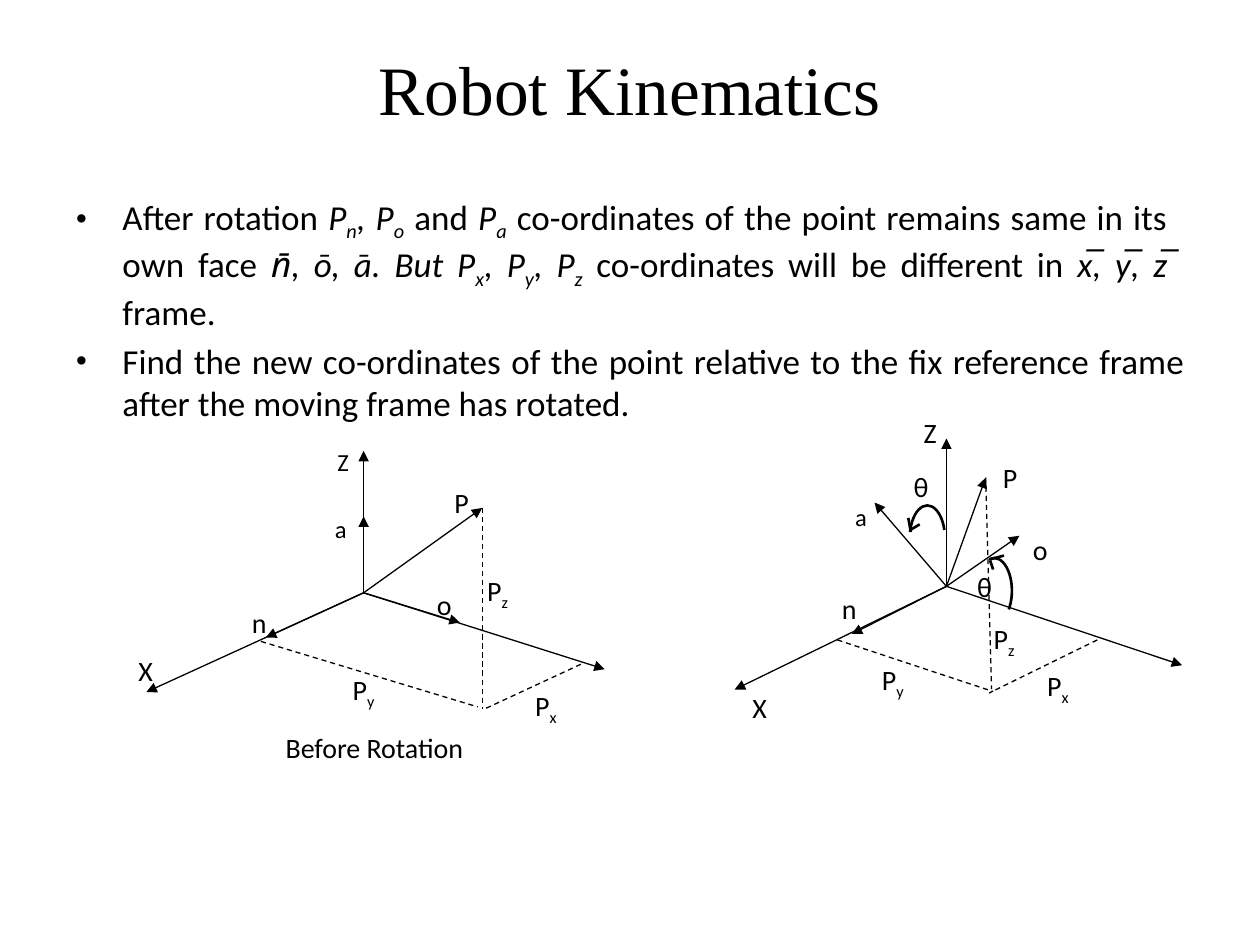
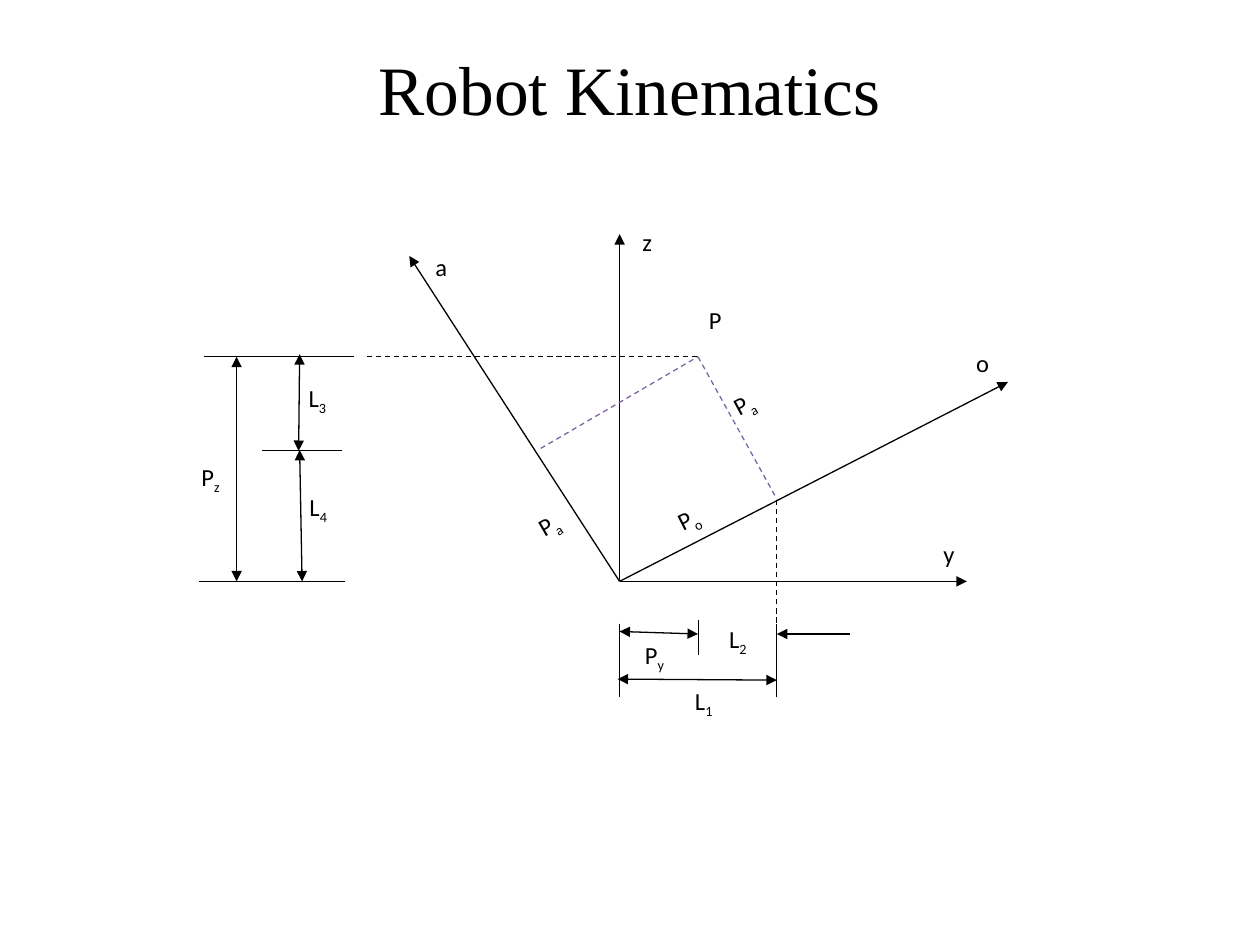
"""Builds two slides on robot kinematics: a rotated frame and its side view."""
from dataclasses import dataclass

from lxml import etree
from pptx import Presentation
from pptx.dml.color import RGBColor
from pptx.enum.dml import MSO_LINE
from pptx.enum.shapes import MSO_CONNECTOR, MSO_SHAPE
from pptx.enum.text import MSO_ANCHOR, PP_ALIGN
from pptx.oxml.ns import qn
from pptx.util import Cm, Pt

STRAIGHT = MSO_CONNECTOR.STRAIGHT
ARC = MSO_SHAPE.ARC
DASH = MSO_LINE.DASH
TOP, MIDDLE = MSO_ANCHOR.TOP, MSO_ANCHOR.MIDDLE
LEFT, CENTER, JUSTIFY = PP_ALIGN.LEFT, PP_ALIGN.CENTER, PP_ALIGN.JUSTIFY

COLORS = {"ink": "000000", "projection": "8064A2", "page": "FFFFFF"}
TITLE_FONT, BODY_FONT = "Times New Roman", "Calibri"
TITLE = "Robot Kinematics"

Point = tuple[float, float]


@dataclass(frozen=True)
class Bullet:
    text: str
    right_indent: float = 0


@dataclass(frozen=True)
class Line:
    start: Point
    end: Point
    heads: str = ""
    dashed: bool = False
    color: str = "ink"
    weight: float = 0.75


@dataclass(frozen=True)
class Label:
    text: str
    left: float
    top: float
    size: float = 16
    width: float = 1.63
    rotation: float = 0


@dataclass(frozen=True)
class Arc:
    left: float
    top: float
    start: float
    end: float


def axes(origin: Point, *tips: Point) -> list[Line]:
    """Return arrows from one origin to each tip."""
    return [Line(origin, tip, "tail") for tip in tips]


def dashes(*ends: tuple[Point, Point], color: str = "ink") -> list[Line]:
    """Return dashed lines between pairs of points."""
    return [Line(start, end, dashed=True, color=color) for start, end in ends]


def side_label(text: str, left: float, top: float, rotation: float = 0) -> Label:
    """Return a label in the style of the side view."""
    return Label(text, left, top, 14, 1.91, rotation)


BULLETS = (
    Bullet("After rotation *P_n, P_o* and *P_a* co-ordinates of the point remains same in its "
           "own face *n̄, ō, ā. But P_x, P_y, P_z* co-ordinates will be different in "
           "*x̅, y̅, z̅* frame.", right_indent=0.35),
    Bullet("Find the new co-ordinates of the point relative to the fix reference frame "
           "after the moving frame has rotated."),
)

BEFORE_ROTATION = [
    *axes((7.33, 11.95), (12.19, 13.49), (7.33, 9.09), (2.95, 13.95), (5.36, 12.85),
          (9.27, 12.55), (7.33, 10.41), (9.72, 10.24)),
    *dashes(((9.72, 10.24), (9.72, 14.3)), ((11.71, 13.39), (9.75, 14.3)),
            ((5.26, 12.93), (9.63, 14.25))),
    Label("P", 8.91, 9.67),
    Label("X", 2.54, 13.06),
    Label("Z", 6.55, 8.89, 14),
    Label("n", 4.83, 12.09),
    Label("a", 6.5, 10.24, 14),
    Label("o", 8.56, 11.72),
    Label("P_y", 6.86, 13.44),
    Label("P_z", 9.57, 11.43),
    Label("P_x", 10.54, 13.76),
    Label("Before Rotation", 5.51, 14.61, width=4.67),
]

AFTER_ROTATION = [
    *axes((19.08, 11.82), (23.83, 13.41), (19.08, 8.84), (14.81, 13.9), (17.17, 12.78),
          (17.63, 10.13), (19.87, 9.63), (20.55, 10.8)),
    Arc(19.69, 11.25, 157.36, 31.28),
    Arc(18.34, 10.19, 119.69, 200.62),
    Line((18.31, 10.44), (18.36, 10.72), weight=1.5),
    Line((18.36, 10.72), (18.37, 10.72)),
    Line((18.54, 10.57), (18.34, 10.69), weight=1.5),
    Line((20.24, 11.2), (19.94, 11.28), weight=1.5),
    Line((19.96, 11.3), (20.02, 11.48), weight=1.5),
    *dashes(((19.87, 9.63), (19.99, 13.89)), ((16.88, 12.9), (20.02, 13.94)),
            ((22.12, 12.9), (19.94, 13.97))),
    Label("X", 14.92, 13.79),
    Label("Z", 18.37, 8.26),
    Label("P", 19.97, 9.15),
    Label("a", 16.99, 10, 14),
    Label("n", 16.72, 11.81),
    Label("o", 20.57, 10.62),
    Label("θ", 18.17, 9.35),
    Label("θ", 19.45, 11.35),
    Label("P_x", 20.86, 13.36),
    Label("P_y", 17.53, 13.24),
    Label("P_z", 19.78, 12.41),
]

SIDE_VIEW = [
    *axes((12.49, 11.72), (19.49, 11.72), (12.49, 4.72), (20.32, 7.7), (8.25, 5.16)),
    *dashes(((10.9, 9.04), (14.07, 7.19)), ((14.07, 7.19), (15.66, 10.06)),
            color="projection"),
    *dashes(((14.05, 7.19), (7.34, 7.19)), ((15.66, 10.08), (15.66, 12.78))),
    Line((7.14, 7.19), (4.12, 7.19)),
    Line((6.96, 11.72), (4.01, 11.72)),
    Line((6.89, 9.08), (5.28, 9.08)),
    Line((12.49, 12.57), (12.49, 14.05)),
    Line((14.08, 12.5), (14.08, 13.21)),
    Line((15.66, 12.57), (15.66, 14.05)),
    Line((4.77, 7.19), (4.77, 11.72), "head tail"),
    Line((6.04, 7.14), (6.02, 9.09), "head tail"),
    Line((6.04, 9.07), (6.09, 11.72), "head tail"),
    Line((12.49, 12.73), (14.07, 12.78), "head tail"),
    Line((12.45, 13.69), (15.66, 13.71), "head tail"),
    Line((17.14, 12.78), (15.66, 12.78), "tail"),
    side_label("P", 14.04, 6.02),
    side_label("P_a", 14.48, 7.47, -28.4),
    side_label("P_a", 10.54, 9.88, -30.1),
    side_label("P_o", 13.36, 9.8, -26.9),
    side_label("P_y", 12.75, 12.78),
    side_label("P_z", 3.81, 9.18),
    side_label("L_3", 5.97, 7.59),
    side_label("L_1", 13.76, 13.7),
    side_label("L_4", 5.99, 9.8),
    side_label("L_2", 14.45, 12.45),
    side_label("a", 8.53, 4.95),
    side_label("y", 18.77, 10.74),
    side_label("z", 12.7, 4.45),
    side_label("o", 19.43, 6.89),
]


def rgb(name: str) -> RGBColor:
    """Return the named colour."""
    return RGBColor.from_string(COLORS[name])


def add_span(para, text: str, *, size: float, font: str, italic: bool, lowered: bool) -> None:
    """Add one formatted span, if it has any text."""
    if not text:
        return
    span = para.add_run()
    span.text = text
    span.font.size, span.font.name, span.font.italic = Pt(size), font, italic
    span.font.color.rgb = rgb("ink")
    if lowered:
        span._r.get_or_add_rPr().set("baseline", "-25000")


def write(para, text: str, *, size: float, font: str = BODY_FONT, align=LEFT) -> None:
    """Write text in which *stars* mean italic and _ lowers the next character."""
    para.alignment = align
    for index, phrase in enumerate(text.split("*")):
        style = {"size": size, "font": font, "italic": index % 2 == 1}
        plain, *lowered_parts = phrase.split("_")
        add_span(para, plain, lowered=False, **style)
        for part in lowered_parts:
            add_span(para, part[0], lowered=True, **style)
            add_span(para, part[1:], lowered=False, **style)


def add_box(page, left: float, top: float, width: float, height: float, anchor=TOP):
    """Add a wrapping text box."""
    box = page.shapes.add_textbox(Cm(left), Cm(top), Cm(width), Cm(height))
    box.text_frame.word_wrap = True
    box.text_frame.vertical_anchor = anchor
    return box


def draw_line(page, line: Line) -> None:
    """Draw a line with its arrowheads."""
    shape = page.shapes.add_connector(STRAIGHT, *map(Cm, line.start + line.end))
    shape.line.color.rgb = rgb(line.color)
    shape.line.width = Pt(line.weight)
    if line.dashed:
        shape.line.dash_style = DASH
    outline = shape.line._get_or_add_ln()
    for head in line.heads.split():
        etree.SubElement(outline, qn(f"a:{head}End"), type="triangle")
    etree.SubElement(shape._element.spPr, qn("a:effectLst"))


def draw_label(page, label: Label) -> None:
    """Draw a short label."""
    box = add_box(page, label.left, label.top, label.width, 0.86)
    box.rotation = label.rotation
    write(box.text_frame.paragraphs[0], label.text, size=label.size)


def draw_arc(page, arc: Arc) -> None:
    """Draw the curve of a rotation arrow."""
    shape = page.shapes.add_shape(ARC, Cm(arc.left), Cm(arc.top), Cm(0.71), Cm(1.32))
    shape.adjustments[0], shape.adjustments[1] = arc.start, arc.end
    shape.shadow.inherit = False
    shape.fill.background()
    shape.line.color.rgb = rgb("ink")
    shape.line.width = Pt(1.5)


DRAWERS = {Line: draw_line, Label: draw_label, Arc: draw_arc}


def draw(page, parts: list) -> None:
    """Draw every part of a diagram."""
    for part in parts:
        DRAWERS[type(part)](page, part)


def add_bullets(page, bullets: tuple[Bullet, ...]) -> None:
    """Add the justified bullet list."""
    frame = add_box(page, 1.27, 3.81, 22.86, 12.57).text_frame
    for index, bullet in enumerate(bullets):
        para = frame.add_paragraph() if index else frame.paragraphs[0]
        properties = para._p.get_or_add_pPr()
        properties.set("marL", str(Cm(0.95)))
        properties.set("marR", str(Cm(bullet.right_indent)))
        properties.set("indent", str(Cm(-0.95)))
        etree.SubElement(properties, qn("a:buFont"), typeface=TITLE_FONT)
        etree.SubElement(properties, qn("a:buChar"), char="•")
        if index:
            para.space_before = Pt(4)
        write(para, bullet.text, size=20, align=JUSTIFY)


def add_page(deck):
    """Add a blank page with the shared title."""
    page = deck.slides.add_slide(deck.slide_layouts[6])
    page.background.fill.solid()
    page.background.fill.fore_color.rgb = rgb("page")
    box = add_box(page, 1.27, 0.76, 22.86, 2.01, MIDDLE)
    write(box.text_frame.paragraphs[0], TITLE, size=39.6, font=TITLE_FONT, align=CENTER)
    return page


def main() -> None:
    """Build and save the deck."""
    deck = Presentation()
    deck.slide_width, deck.slide_height = Cm(25.4), Cm(19.05)
    rotation_page = add_page(deck)
    add_bullets(rotation_page, BULLETS)
    draw(rotation_page, BEFORE_ROTATION + AFTER_ROTATION)
    draw(add_page(deck), SIDE_VIEW)
    deck.save("out.pptx")


if __name__ == "__main__":
    main()
